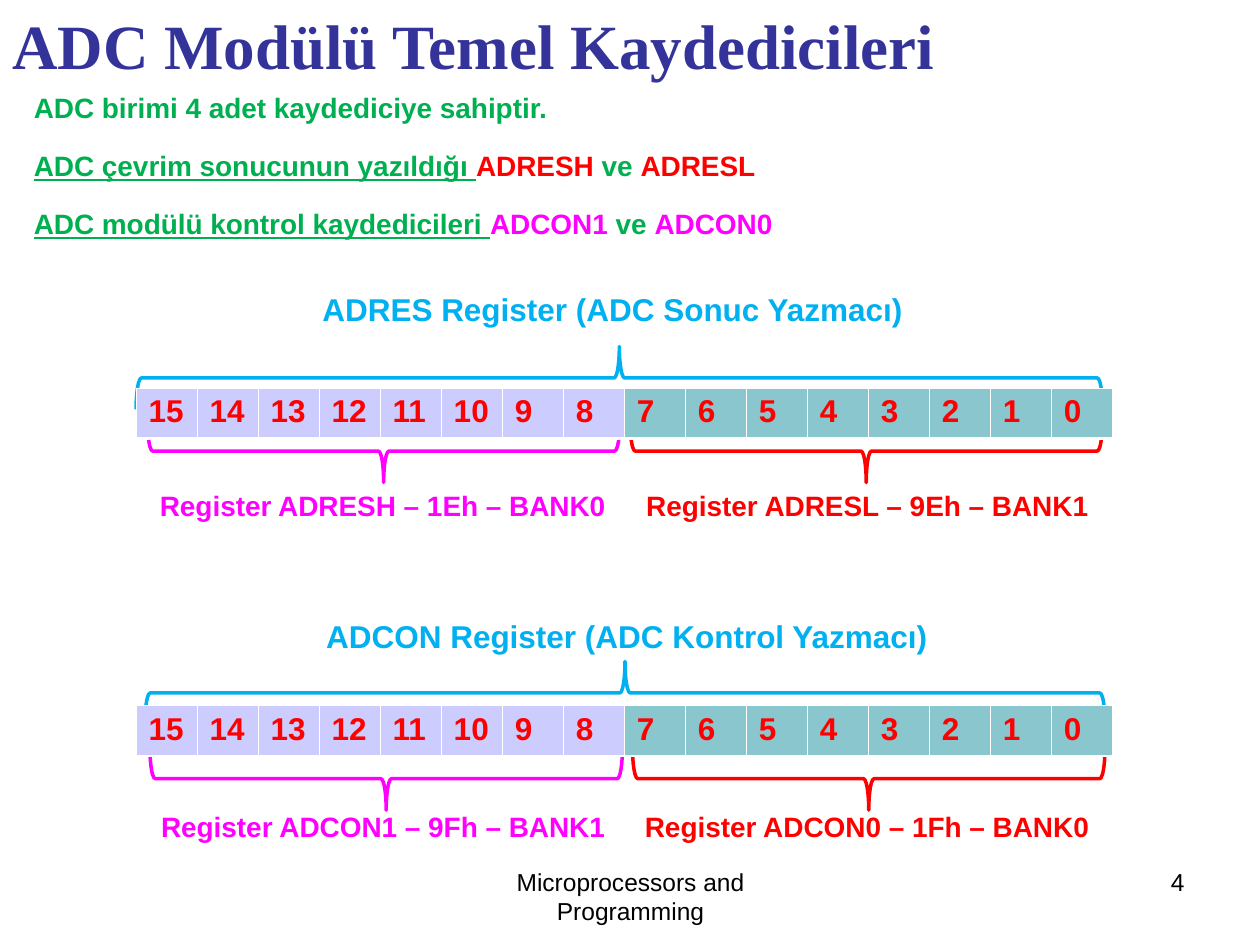
from lxml import etree
from pptx import Presentation
from pptx.dml.color import RGBColor
from pptx.enum.shapes import MSO_SHAPE
from pptx.enum.text import MSO_AUTO_SIZE, PP_ALIGN
from pptx.oxml.ns import qn
from pptx.util import Inches, Pt

LEFT_BRACE = MSO_SHAPE.LEFT_BRACE
FIT_SHAPE, NO_FIT = MSO_AUTO_SIZE.SHAPE_TO_FIT_TEXT, MSO_AUTO_SIZE.NONE
LEFT, CENTER, RIGHT = PP_ALIGN.LEFT, PP_ALIGN.CENTER, PP_ALIGN.RIGHT

NAVY = RGBColor(0x33, 0x33, 0x99)
GREEN = RGBColor(0x00, 0xB0, 0x50)
RED = RGBColor(0xFF, 0x00, 0x00)
MAGENTA = RGBColor(0xFF, 0x00, 0xFF)
BLUE = RGBColor(0x00, 0xB0, 0xF0)
BLACK = RGBColor(0x00, 0x00, 0x00)
LILAC = RGBColor(0xCC, 0xCC, 0xFF)
TEAL = RGBColor(0x8A, 0xC6, 0xCD)

TITLE = "ADC Modülü Temel Kaydedicileri"
FOOTER = "Microprocessors and Programming"
PAGE_NUMBER = "4"

# Each span: text, colour, underlined
INTRO = [
    [("ADC birimi 4 adet kaydediciye sahiptir.", GREEN, False)],
    [("ADC çevrim sonucunun yazıldığı ", GREEN, True), ("ADRESH", RED, False),
     (" ve ", GREEN, False), ("ADRESL", RED, False)],
    [("ADC modülü kontrol kaydedicileri ", GREEN, True), ("ADCON1", MAGENTA, False),
     (" ve ", GREEN, False), ("ADCON0", MAGENTA, False)],
]

# Captions: text, colour, (left, top, width). Braces: colour, (left, top, length), points up
REGISTERS = [
    {"table_top": 3.08,
     "captions": [
         ("ADRES Register (ADC Sonuc Yazmacı)", 18, BLUE, (2.46, 2.25, 4.82)),
         ("Register ADRESH – 1Eh – BANK0", 16, MAGENTA, (1.17, 3.83, 3.75)),
         ("Register ADRESL – 9Eh – BANK1", 16, RED, (5.03, 3.83, 3.72))],
     "braces": [(BLUE, (1.08, 2.75, 7.67), True),
                (MAGENTA, (1.17, 3.33, 3.75), False),
                (RED, (5, 3.33, 3.75), False)]},
    {"table_top": 5.6,
     "captions": [
         ("ADCON Register (ADC Kontrol Yazmacı)", 18, BLUE, (2.49, 4.85, 4.99)),
         ("Register ADCON1 – 9Fh – BANK1", 16, MAGENTA, (1.18, 6.38, 3.73)),
         ("Register ADCON0 – 1Fh – BANK0", 16, RED, (5.02, 6.38, 3.73))],
     "braces": [(BLUE, (1.15, 5.25, 7.62), True),
                (MAGENTA, (1.19, 5.93, 3.75), False),
                (RED, (5.02, 5.93, 3.75), False)]},
]
BITS = 16
TABLE_LEFT, TABLE_WIDTH, ROW_HEIGHT = 1.08, 7.75, 0.4
BRACE_DEPTH = 0.5
CELL_BORDERS = [("a:lnL", 0.45), ("a:lnR", 0.45), ("a:lnT", 0.45), ("a:lnB", 1.47)]


def style(font, size, color, bold=True, name="Arial"):
    font.size, font.bold, font.name = Pt(size), bold, name
    font.color.rgb = color


def add_text(page, place, lines, size, bold=True, name="Arial",
             align=LEFT, wrap=True, fit=FIT_SHAPE, gap=0):
    """Add a text box; lines is a list of lists of (text, colour, underlined)."""
    box = page.shapes.add_textbox(*map(Inches, place))
    frame = box.text_frame
    frame.word_wrap, frame.auto_size = wrap, fit
    for number, spans in enumerate(lines):
        para = frame.add_paragraph() if number else frame.paragraphs[0]
        para.alignment = align
        if number:
            para.space_before = Pt(gap)
        for text, color, underlined in spans:
            span = para.add_run()
            span.text = text
            style(span.font, size, color, bold, name)
            span.font.underline = underlined


def add_brace(page, color, place, points_up):
    """Add a horizontal brace: an upright one turned about its centre."""
    left, top, length = place
    shift = (length - BRACE_DEPTH) / 2
    brace = page.shapes.add_shape(LEFT_BRACE, Inches(left + shift), Inches(top - shift),
                                  Inches(BRACE_DEPTH), Inches(length))
    brace.rotation = 90 if points_up else 270
    brace.shadow.inherit = False
    brace.fill.background()
    brace.line.color.rgb = color
    brace.line.width = Pt(2)


def add_cell_borders(cell):
    properties = cell._tc.get_or_add_tcPr()
    for index, (tag, width) in enumerate(CELL_BORDERS):
        line = etree.Element(qn(tag), w=str(int(Pt(width))))
        fill = etree.SubElement(line, qn("a:solidFill"))
        etree.SubElement(fill, qn("a:srgbClr"), val="FFFFFF")
        properties.insert(index, line)


def add_bit_table(page, top):
    table = page.shapes.add_table(1, BITS, Inches(TABLE_LEFT), Inches(top),
                                  Inches(TABLE_WIDTH), Inches(ROW_HEIGHT)).table
    for column in range(BITS):
        table.columns[column].width = Inches(TABLE_WIDTH / BITS)
        cell = table.cell(0, column)
        cell.text_frame.text = str(BITS - 1 - column)
        style(cell.text_frame.paragraphs[0].runs[0].font, 18, RED)
        cell.fill.solid()
        cell.fill.fore_color.rgb = LILAC if column < BITS // 2 else TEAL
        add_cell_borders(cell)


def main():
    deck = Presentation()
    deck.slide_width, deck.slide_height = Inches(10), Inches(7.5)
    page = deck.slides.add_slide(deck.slide_layouts[6])

    add_text(page, (0, 0, 8.9, 0.7), [[(TITLE, NAVY, False)]], 36, name="Times New Roman")
    add_text(page, (0.17, 0.67, 9.67, 1.27), INTRO, 16, gap=14)

    for register in REGISTERS:
        for brace in register["braces"]:
            add_brace(page, *brace)
        add_bit_table(page, register["table_top"])
        for text, size, color, place in register["captions"]:
            height = 0.4 if size == 18 else 0.37
            add_text(page, (*place, height), [[(text, color, False)]], size, wrap=False)

    add_text(page, (3.42, 6.83, 3.17, 0.52), [[(FOOTER, BLACK, False)]], 14,
             bold=False, align=CENTER, fit=NO_FIT)
    add_text(page, (7.17, 6.83, 2.33, 0.52), [[(PAGE_NUMBER, BLACK, False)]], 14,
             bold=False, align=RIGHT, fit=NO_FIT)
    deck.save("out.pptx")


if __name__ == "__main__":
    main()
